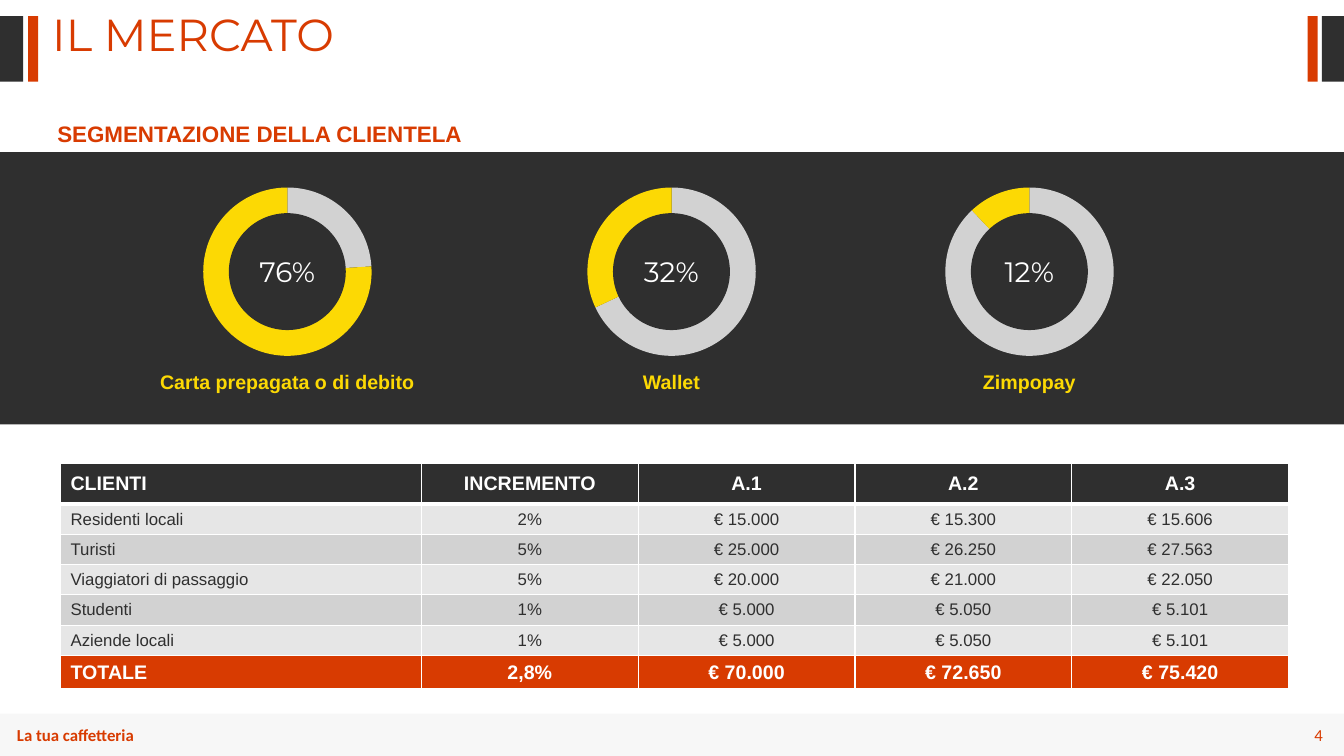
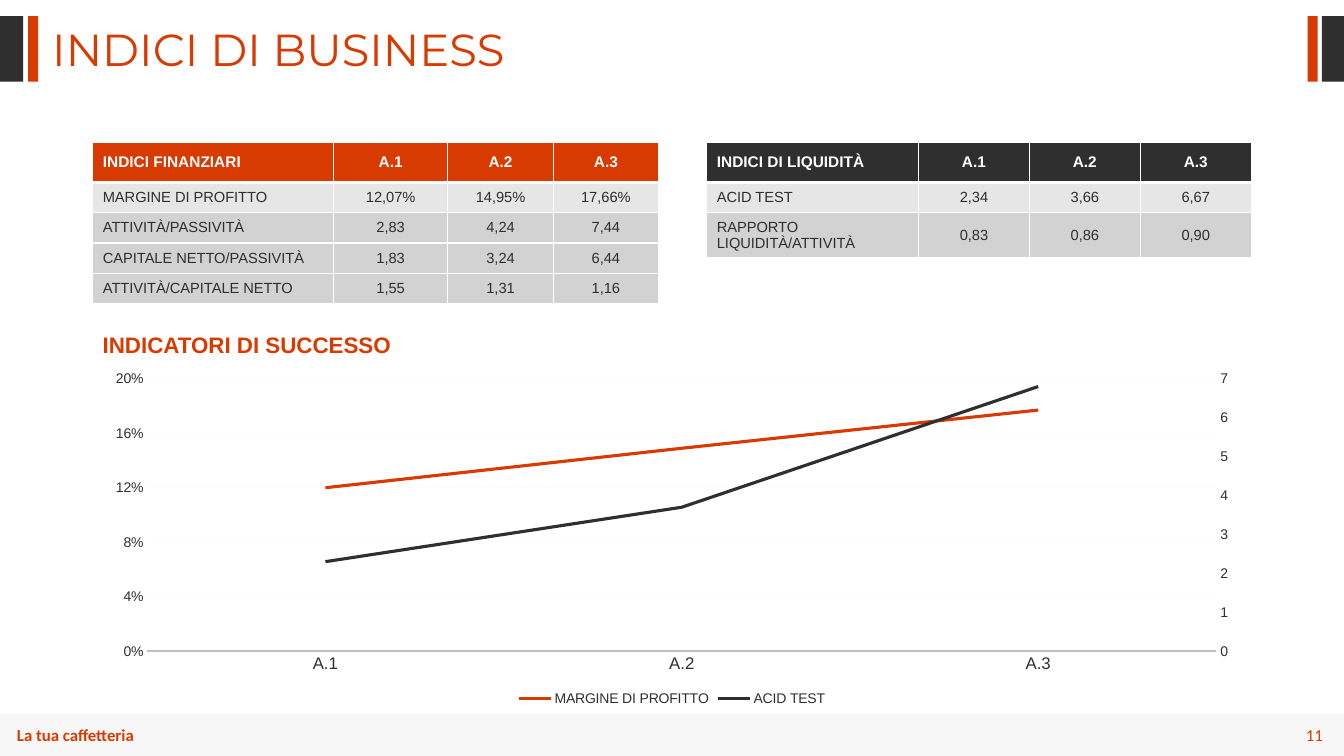
from copy import deepcopy
from dataclasses import dataclass

from pptx import Presentation
from pptx.chart.axis import CategoryAxis, ValueAxis
from pptx.chart.data import CategoryChartData
from pptx.dml.color import RGBColor
from pptx.enum.chart import XL_CHART_TYPE as ChartType, XL_LEGEND_POSITION as LegendPosition
from pptx.enum.chart import XL_TICK_MARK as TickMark
from pptx.enum.shapes import MSO_SHAPE as Preset
from pptx.enum.text import MSO_ANCHOR as Anchor, PP_ALIGN as Align
from pptx.oxml import parse_xml
from pptx.oxml.ns import nsdecls, qn
from pptx.oxml.xmlchemy import OxmlElement
from pptx.util import Inches, Pt


@dataclass(frozen=True)
class Theme:
    dark: str = "2F2F2F"
    accent: str = "D83B01"
    yellow: str = "FCD904"
    white: str = "FFFFFF"
    light: str = "E6E6E6"
    mid: str = "D2D2D2"
    axis: str = "BFBFBF"
    body: str = "Arial"
    display: str = "Montserrat"
    footer: str = "Calibri"
    title_size: float = 32
    percent_size: float = 20
    heading_size: float = 16
    label_size: float = 14
    text_size: float = 12
    index_header_size: float = 11
    index_size: float = 10.5
    chart_size: float = 10


THEME = Theme()

# Content
FOOTER = "La tua caffetteria"
EDGE_BARS = [  # left, width, colour
    (0, 0.23, THEME.dark), (0.28, 0.1, THEME.accent),
    (12.97, 0.1, THEME.accent), (13.11, 0.22, THEME.dark),
]
PAYMENTS = [  # label, share in percent, centre of the ring
    ("Carta prepagata o di debito", 76, 2.85),
    ("Wallet", 32, 6.66),
    ("Zimpopay", 12, 10.21),
]
CUSTOMERS = [
    ("CLIENTI", "INCREMENTO", "A.1", "A.2", "A.3"),
    ("Residenti locali", "2%", "€ 15.000", "€ 15.300", "€ 15.606"),
    ("Turisti", "5%", "€ 25.000", "€ 26.250", "€ 27.563"),
    ("Viaggiatori di passaggio", "5%", "€ 20.000", "€ 21.000", "€ 22.050"),
    ("Studenti", "1%", "€ 5.000", "€ 5.050", "€ 5.101"),
    ("Aziende locali", "1%", "€ 5.000", "€ 5.050", "€ 5.101"),
    ("TOTALE", "2,8%", "€ 70.000", "€ 72.650", "€ 75.420"),
]
FINANCIAL = [
    ("INDICI FINANZIARI", "A.1", "A.2", "A.3"),
    ("MARGINE DI PROFITTO", "12,07%", "14,95%", "17,66%"),
    ("ATTIVITÀ/PASSIVITÀ", "2,83", "4,24", "7,44"),
    ("CAPITALE NETTO/PASSIVITÀ", "1,83", "3,24", "6,44"),
    ("ATTIVITÀ/CAPITALE NETTO", "1,55", "1,31", "1,16"),
]
LIQUIDITY = [
    ("INDICI DI LIQUIDITÀ", "A.1", "A.2", "A.3"),
    ("ACID TEST", "2,34", "3,66", "6,67"),
    ("RAPPORTO LIQUIDITÀ/ATTIVITÀ", "0,83", "0,86", "0,90"),
]
YEARS = ["A.1", "A.2", "A.3"]
INDICATORS = [  # name, values, colour
    ("MARGINE DI PROFITTO", (0.12, 0.149, 0.177), THEME.accent),
    ("ACID TEST", (2.3, 3.7, 6.8), THEME.dark),
]


# Text and shapes
def style_font(font, size, color, name=THEME.body, bold=False):
    font.size, font.name, font.bold = Pt(size), name, bold
    font.color.rgb = RGBColor.from_string(color)


def write(frame, text, size, color, name=THEME.body, bold=False, align=Align.LEFT):
    paragraph = frame.paragraphs[0]
    paragraph.text, paragraph.alignment = text, align
    style_font(paragraph.font, size, color, name, bold)
    return paragraph


def add_text(slide, box, text, size, color, name=THEME.body, bold=False,
             align=Align.LEFT):
    frame = slide.shapes.add_textbox(*map(Inches, box)).text_frame
    frame.word_wrap = True
    return write(frame, text, size, color, name, bold, align)


def add_alpha(fill_parent, percent):
    color = next(fill_parent.iter(qn("a:srgbClr")))
    alpha = OxmlElement("a:alpha")
    alpha.set("val", str(percent * 1000))
    color.append(alpha)


def add_block(slide, box, color, preset=Preset.RECTANGLE):
    shape = slide.shapes.add_shape(preset, *map(Inches, box))
    shape.shadow.inherit = False
    shape.fill.solid()
    shape.fill.fore_color.rgb = RGBColor.from_string(color)
    shape.line.fill.background()
    return shape


def add_heading(slide, left, top, text):
    add_text(slide, (left, top, 7.53, 0.37), text, THEME.heading_size, THEME.accent, bold=True)


# Shared frame of a slide
def new_slide(presentation, title, title_top, number):
    slide = presentation.slides.add_slide(presentation.slide_layouts[6])
    for left, width, color in EDGE_BARS:
        add_block(slide, (left, 0.16, width, 0.65), color)
    band = add_block(slide, (0, 7.08, 13.33, 0.42), THEME.light)
    add_alpha(band.fill._xPr, 30)
    add_text(slide, (0.07, 7.14, 1.84, 0.3), FOOTER, THEME.text_size, THEME.accent,
             THEME.footer, bold=True)
    add_text(slide, (12.35, 7.14, 0.87, 0.3), number, THEME.text_size, THEME.accent,
             THEME.footer, align=Align.RIGHT)
    heading = add_text(slide, (0.42, title_top, 6.67, 0.54), title, THEME.title_size,
                       THEME.accent, THEME.display)
    heading.line_spacing = 0.8
    return slide


# Tables
def set_borders(cell, top, bottom):
    properties = cell._tc.get_or_add_tcPr()
    for index, (side, width) in enumerate((("L", 1), ("R", 1), ("T", top), ("B", bottom))):
        properties.insert(index, parse_xml(
            f'<a:ln{side} {nsdecls("a")} w="{Pt(width)}"><a:solidFill>'
            f'<a:srgbClr val="{THEME.white}"/></a:solidFill></a:ln{side}>'))


def add_table(slide, left, top, widths, heights, rows, fills, strong_rows, strong_size, size):
    table = slide.shapes.add_table(len(rows), len(widths), Inches(left), Inches(top),
                                   Inches(sum(widths)), Inches(sum(heights))).table
    for column, width in zip(table.columns, widths):
        column.width = Inches(width)
    for r, (row, height, fill) in enumerate(zip(rows, heights, fills)):
        table.rows[r].height = Inches(height)
        strong = r in strong_rows
        for c, text in enumerate(row):
            cell = table.cell(r, c)
            cell.vertical_anchor = Anchor.MIDDLE
            cell.fill.solid()
            cell.fill.fore_color.rgb = RGBColor.from_string(fill)
            set_borders(cell, 3 if r == 1 else 1, 3 if r == 0 else 1)
            write(cell.text_frame, text, strong_size if strong else size,
                  THEME.white if strong else THEME.dark, bold=strong,
                  align=Align.CENTER if c else Align.LEFT)


def add_index_table(slide, left, widths, heights, rows, header_fill):
    fills = [header_fill, THEME.light] + [THEME.mid] * (len(rows) - 2)
    add_table(slide, left, 1.41, widths, heights, rows, fills, {0},
              THEME.index_header_size, THEME.index_size)


# Charts
def set_plot_layout(chart, x, y, w, h):
    plot_area = chart._chartSpace.chart.plotArea
    for layout in plot_area.findall(qn("c:layout")):
        plot_area.remove(layout)
    sizes = "".join(f'<c:{key} val="{value:.3f}"/>'
                    for key, value in zip("xywh", (x, y, w, h)))
    plot_area.insert(0, parse_xml(
        f'<c:layout {nsdecls("c")}><c:manualLayout><c:layoutTarget val="inner"/>'
        f'<c:xMode val="edge"/><c:yMode val="edge"/>{sizes}'
        '</c:manualLayout></c:layout>'.replace(
            'sizes', 'sizes')))


def add_chart(slide, kind, box, categories, series):
    data = CategoryChartData()
    data.categories = categories
    for name, values in series:
        data.add_series(name, values)
    chart = slide.shapes.add_chart(kind, *map(Inches, box), data).chart
    chart.has_title = chart.has_legend = False
    chart.plots[0].vary_by_categories = False
    style_font(chart.font, THEME.chart_size, THEME.dark)
    return chart


def add_ring(slide, label, share, center):
    width, height, diameter, hole = 1.94, 2.37, 1.67, 1.16
    top = 1.51
    chart = add_chart(slide, ChartType.PIE, (center - width / 2, top, width, height),
                      ["1", "2"], [("Series 1", (100 - share, share))])
    w, h = diameter / width, diameter / height
    set_plot_layout(chart, (1 - w) / 2, (1 - h) / 2, w, h)
    for index, color in enumerate((THEME.mid, THEME.yellow)):
        point = chart.plots[0].series[0].points[index].format
        point.fill.solid()
        point.fill.fore_color.rgb = RGBColor.from_string(color)
        point.line.fill.background()
    middle = add_block(slide, (center - hole / 2, top + (height - hole) / 2, hole, hole),
                       THEME.dark, Preset.OVAL)
    frame = middle.text_frame
    frame.margin_left = frame.margin_right = 0
    frame.vertical_anchor = Anchor.MIDDLE
    write(frame, f"{share}%", THEME.percent_size, THEME.white, THEME.display,
          align=Align.CENTER)
    add_text(slide, (center - 1.6, 3.62, 3.2, 0.34), label, THEME.label_size,
             THEME.yellow, bold=True, align=Align.CENTER)


def move_to_right_axis(chart):
    """Give the second line its own value axis on the right."""
    first = chart.plots[0]._element
    second = deepcopy(first)
    lines = first.findall(qn("c:ser"))
    first.remove(lines[1])
    second.remove(second.findall(qn("c:ser"))[0])
    first.addnext(second)

    category_id, value_id = "50010", "50020"
    for axis_id, value in zip(second.findall(qn("c:axId")), (category_id, value_id)):
        axis_id.set("val", value)
    value_axis = chart.value_axis._element
    right = deepcopy(value_axis)
    hidden = deepcopy(chart.category_axis._element)
    value_axis.addnext(right)
    right.addnext(hidden)
    for axis, own, cross in ((right, value_id, category_id), (hidden, category_id, value_id)):
        axis.find(qn("c:axId")).set("val", own)
        axis.find(qn("c:crossAx")).set("val", cross)
    right.find(qn("c:axPos")).set("val", "r")
    right.find(qn("c:crosses")).set("val", "max")
    CategoryAxis(hidden).visible = False
    axis = ValueAxis(right)
    axis.has_major_gridlines = False
    axis.maximum_scale, axis.major_unit = 7, 1
    axis.tick_labels.number_format = "#,##0"


def add_indicator_chart(slide):
    chart = add_chart(slide, ChartType.LINE, (0.92, 3.61, 11.49, 3.44), YEARS,
                      [(name, values) for name, values, _ in INDICATORS])
    set_plot_layout(chart, 0.047, 0.043, 0.923, 0.786)
    chart.has_legend = True
    chart.legend.position = LegendPosition.BOTTOM
    chart.legend.include_in_layout = False
    style_font(chart.legend.font, THEME.chart_size, THEME.dark)
    for series, (_, _, color) in zip(chart.plots[0].series, INDICATORS):
        series.smooth = False
        series.format.line.width = Pt(2.25)
        series.format.line.color.rgb = RGBColor.from_string(color)

    categories, values = chart.category_axis, chart.value_axis
    for axis, size in ((categories, THEME.text_size), (values, THEME.chart_size)):
        axis.major_tick_mark = axis.minor_tick_mark = TickMark.NONE
        style_font(axis.tick_labels.font, size, THEME.dark)
    categories.format.line.width = Pt(1.5)
    categories.format.line.color.rgb = RGBColor.from_string(THEME.axis)
    values.format.line.fill.background()
    values.minimum_scale, values.maximum_scale, values.major_unit = 0, 0.2, 0.04
    values.tick_labels.number_format = "0%"
    values.tick_labels.number_format_is_linked = False
    grid = values.major_gridlines.format.line
    grid.width = Pt(0.75)
    grid.color.rgb = RGBColor.from_string(THEME.light)
    add_alpha(values._element.find(qn("c:majorGridlines")), 10)
    move_to_right_axis(chart)


# Slides
def add_market_slide(presentation):
    slide = new_slide(presentation, "IL MERCATO", 0.12, "4")
    add_heading(slide, 0.47, 1.14, "SEGMENTAZIONE DELLA CLIENTELA")
    add_block(slide, (0, 1.51, 13.33, 2.7), THEME.dark)
    for payment in PAYMENTS:
        add_ring(slide, *payment)
    last = len(CUSTOMERS) - 1
    stripes = [THEME.mid if r % 2 == 0 else THEME.light for r in range(1, last)]
    add_table(slide, 0.6, 4.6, [3.58] + [2.15] * 4, [0.4] + [0.3] * (last - 1) + [0.33],
              CUSTOMERS, [THEME.dark, *stripes, THEME.accent], {0, last},
              THEME.label_size, THEME.text_size)


def add_index_slide(presentation):
    slide = new_slide(presentation, "INDICI DI BUSINESS", 0.27, "11")
    add_index_table(slide, 0.92, [2.39, 1.13, 1.05, 1.04], [0.4] + [0.3] * 4,
                    FINANCIAL, THEME.accent)
    add_index_table(slide, 7.01, [2.1] + [1.1] * 3, [0.4, 0.3, 0.45], LIQUIDITY, THEME.dark)
    add_heading(slide, 0.92, 3.24, "INDICATORI DI SUCCESSO")
    add_indicator_chart(slide)


def main():
    presentation = Presentation()
    presentation.slide_width, presentation.slide_height = Inches(13.33), Inches(7.5)
    add_market_slide(presentation)
    add_index_slide(presentation)
    presentation.save("out.pptx")


if __name__ == "__main__":
    main()
